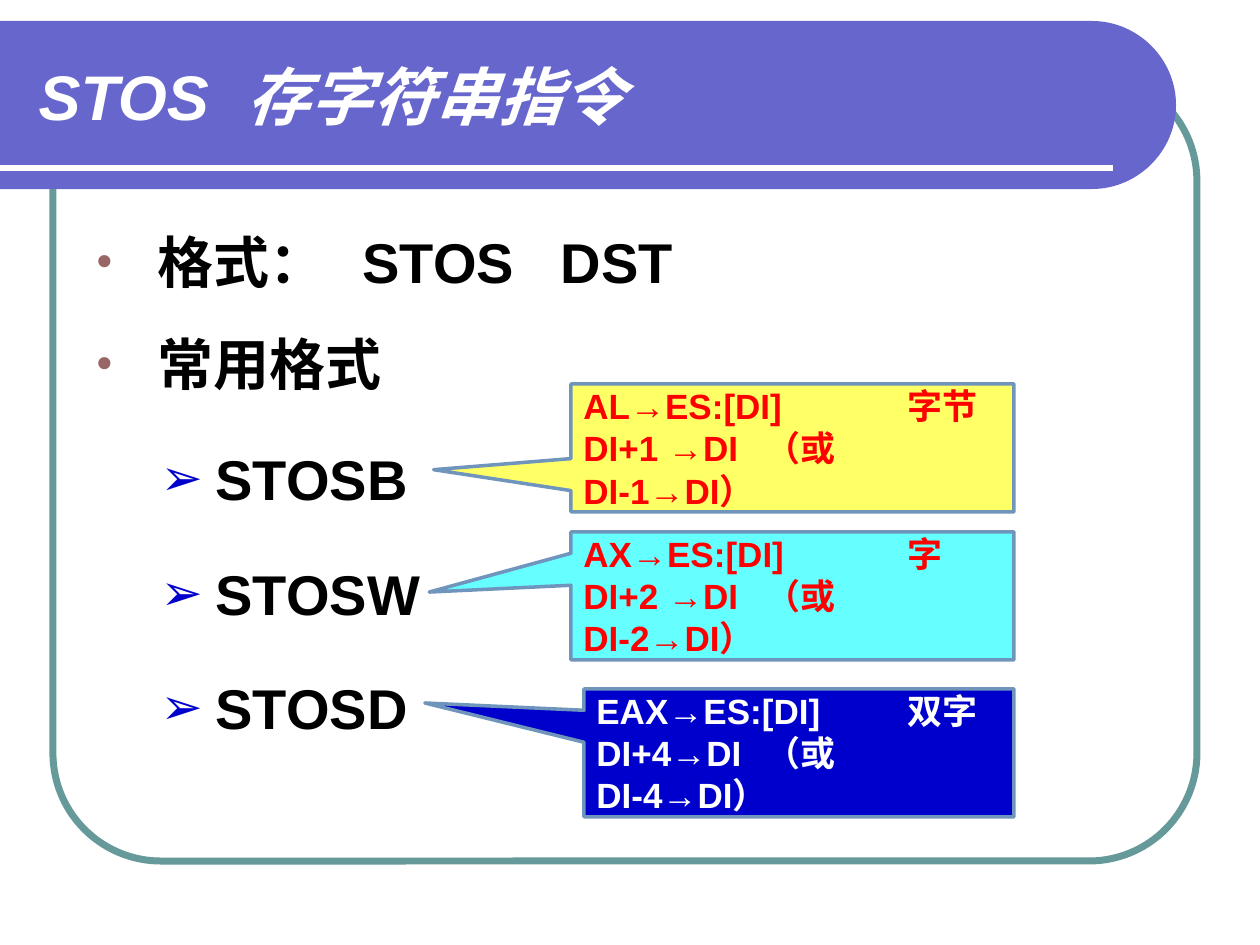
from pptx import Presentation
from pptx.dml.color import RGBColor
from pptx.enum.shapes import MSO_CONNECTOR, MSO_SHAPE
from pptx.enum.text import MSO_ANCHOR, MSO_AUTO_SIZE, PP_ALIGN
from pptx.oxml.ns import qn
from pptx.util import Emu, Pt
from lxml import etree

WHITE = RGBColor(0xFF, 0xFF, 0xFF)
BLACK = RGBColor(0x00, 0x00, 0x00)
TEAL = RGBColor(0x66, 0x99, 0x99)
PURPLE = RGBColor(0x66, 0x66, 0xCC)
MAUVE = RGBColor(0x99, 0x66, 0x66)
BLUE = RGBColor(0x00, 0x00, 0xCC)
YELLOW = RGBColor(0xFF, 0xFF, 0x66)
CYAN = RGBColor(0x66, 0xFF, 0xFF)
RED = RGBColor(0xFF, 0x00, 0x00)
STEEL = RGBColor(0x6F, 0x95, 0xBC)

ROUNDED = MSO_SHAPE.ROUNDED_RECTANGLE
BAND = MSO_SHAPE.ROUND_2_SAME_RECTANGLE
CALLOUT = MSO_SHAPE.RECTANGULAR_CALLOUT
STRAIGHT = MSO_CONNECTOR.STRAIGHT
MIDDLE = MSO_ANCHOR.MIDDLE
TOP = MSO_ANCHOR.TOP
LEFT = PP_ALIGN.LEFT
NO_AUTOFIT = MSO_AUTO_SIZE.NONE


def px(value):
    return Emu(round(value * 914400 / 126))


class SlideBuilder:
    """Builds the elements of one slide in a shared style."""

    font_name = "Arial"
    inset = 13

    def __init__(self, presentation):
        self.slide = presentation.slides.add_slide(presentation.slide_layouts[1])
        self.shapes = self.slide.shapes

    def style_font(self, paragraph, size, color, italic=False):
        font = paragraph.font
        font.name, font.size, font.bold, font.italic = self.font_name, Pt(size), True, italic
        font.color.rgb = color

    def add_tabs(self, paragraph, stops):
        tab_list = etree.SubElement(paragraph._p.get_or_add_pPr(), qn("a:tabLst"))
        for stop in stops:
            etree.SubElement(tab_list, qn("a:tab"), pos=str(px(stop)), algn="l")

    def add_bullet(self, paragraph, character, color, percent, margin, hanging):
        properties = paragraph._p.get_or_add_pPr()
        properties.set("marL", str(px(margin)))
        properties.set("indent", str(-px(hanging)))
        bullet_color = etree.SubElement(properties, qn("a:buClr"))
        etree.SubElement(bullet_color, qn("a:srgbClr"), val=str(color))
        etree.SubElement(properties, qn("a:buSzPct"), val=str(percent * 1000))
        etree.SubElement(properties, qn("a:buFont"), typeface=self.font_name)
        etree.SubElement(properties, qn("a:buChar"), char=character)

    def place(self, shape, left, top, width, height, anchor):
        shape.left, shape.top, shape.width, shape.height = map(px, (left, top, width, height))
        shape.element.getparent().append(shape.element)
        frame = shape.text_frame
        frame.word_wrap, frame.auto_size, frame.vertical_anchor = True, NO_AUTOFIT, anchor
        return frame

    def outline(self, shape, color, width):
        shape.shadow.inherit = False
        shape.line.color.rgb = color
        shape.line.width = Pt(width)

    def frame(self, left, top, width, height):
        shape = self.shapes.add_shape(ROUNDED, *map(px, (left, top, width, height)))
        shape.adjustments[0] = 0.137
        shape.fill.background()
        self.outline(shape, TEAL, 4)

    def band(self, top, width, height):
        radius = height // 2
        control = round(radius * 0.45)
        points = [(0, top), (width - radius, top)]
        builder = self.shapes.build_freeform(0, px(top))
        builder.add_line_segments([(px(x), px(y)) for x, y in
                                   points[1:] + [(width, top + radius),
                                                 (width - radius, top + height), (0, top + height)]])
        shape = builder.convert_to_shape()
        shape.shadow.inherit = False
        shape.fill.solid()
        shape.fill.fore_color.rgb = PURPLE
        shape.line.fill.background()
        corners = [(width - radius + radius - control, top), (width, top + control),
                   (width, top + radius), (width, top + height - control),
                   (width - control, top + height), (width - radius, top + height)]
        segments = list(shape.element.iter(qn("a:lnTo")))[1:3]
        for index, segment in enumerate(segments):
            curve = etree.Element(qn("a:cubicBezTo"))
            for x, y in corners[index * 3:index * 3 + 3]:
                etree.SubElement(curve, qn("a:pt"), x=str(px(x)), y=str(px(y) - px(top)))
            segment.getparent().replace(segment, curve)

    def rule(self, y, width):
        line = self.shapes.add_connector(STRAIGHT, 0, px(y), px(width), px(y))
        line.line.color.rgb = WHITE
        line.line.width = Pt(3)
        etree.SubElement(line.element.spPr, qn("a:effectLst"))

    def title(self, text, left, top, width, height, tab):
        frame = self.place(self.shapes.title, left, top, width, height, MIDDLE)
        frame.text = text
        paragraph = frame.paragraphs[0]
        paragraph.alignment = LEFT
        self.add_tabs(paragraph, [tab - left - self.inset])
        self.style_font(paragraph, 36, WHITE, italic=True)

    def body(self, items, left, top, width, height):
        frame = self.place(self.slide.placeholders[1], left, top, width, height, TOP)
        frame.text = "\n".join(text for text, level in items)
        for index, (paragraph, (text, level)) in enumerate(zip(frame.paragraphs, items)):
            paragraph.level = level
            paragraph.space_before = Pt(8 if index else 0)
            paragraph.space_after = Pt(0 if index else 12)
            paragraph.line_spacing = 1.5 if level else 1.0
            if level:
                self.add_bullet(paragraph, "➢", BLUE, 90, 119, 55)
            else:
                self.add_bullet(paragraph, "•", MAUVE, 80, 61, 61)
                self.add_tabs(paragraph, [266, 464])
            self.style_font(paragraph, 32, BLACK)

    def callout(self, text, left, top, width, fill, color, tip):
        shape = self.shapes.add_shape(CALLOUT, *map(px, (left, top, width, 128)))
        shape.adjustments[0], shape.adjustments[1] = tip
        shape.fill.solid()
        shape.fill.fore_color.rgb = fill
        self.outline(shape, STEEL, 2)
        frame = shape.text_frame
        frame.word_wrap, frame.vertical_anchor = True, MIDDLE
        frame.text = text
        for paragraph in frame.paragraphs:
            paragraph.alignment = LEFT
            self.add_tabs(paragraph, [stop - left - self.inset for stop in (766, 908)])
            self.style_font(paragraph, 20, color)


def main():
    presentation = Presentation()
    presentation.slide_width, presentation.slide_height = px(1260), px(945)
    builder = SlideBuilder(presentation)
    builder.frame(53, 73, 1144, 788)
    builder.band(21, 1176, 168)
    builder.rule(168, 1113)
    builder.title("STOS\t存字符串指令", 26, 32, 1105, 126, 247)
    builder.body([("格式：\tSTOS\tDST", 0), ("常用格式", 0),
                  ("STOSB", 1), ("STOSW", 1), ("STOSD", 1)], 84, 221, 1092, 609)
    callouts = [
        ("AL→ES:[DI]\t字节\nDI+1 →DI\t（或\vDI-1→DI）", 571, 384, YELLOW, RED, (-0.81, 0.17)),
        ("AX→ES:[DI]\t字\nDI+2 →DI\t（或\vDI-2→DI）", 571, 532, CYAN, RED, (-0.82, -0.03)),
        ("EAX→ES:[DI]\t双字\nDI+4→DI\t（或\vDI-4→DI）", 584, 689, BLUE, WHITE, (-0.87, -0.39)),
    ]
    for text, left, top, fill, color, tip in callouts:
        builder.callout(text, left, top, 1014 - left, fill, color, tip)
    presentation.save("out.pptx")


if __name__ == "__main__":
    main()
